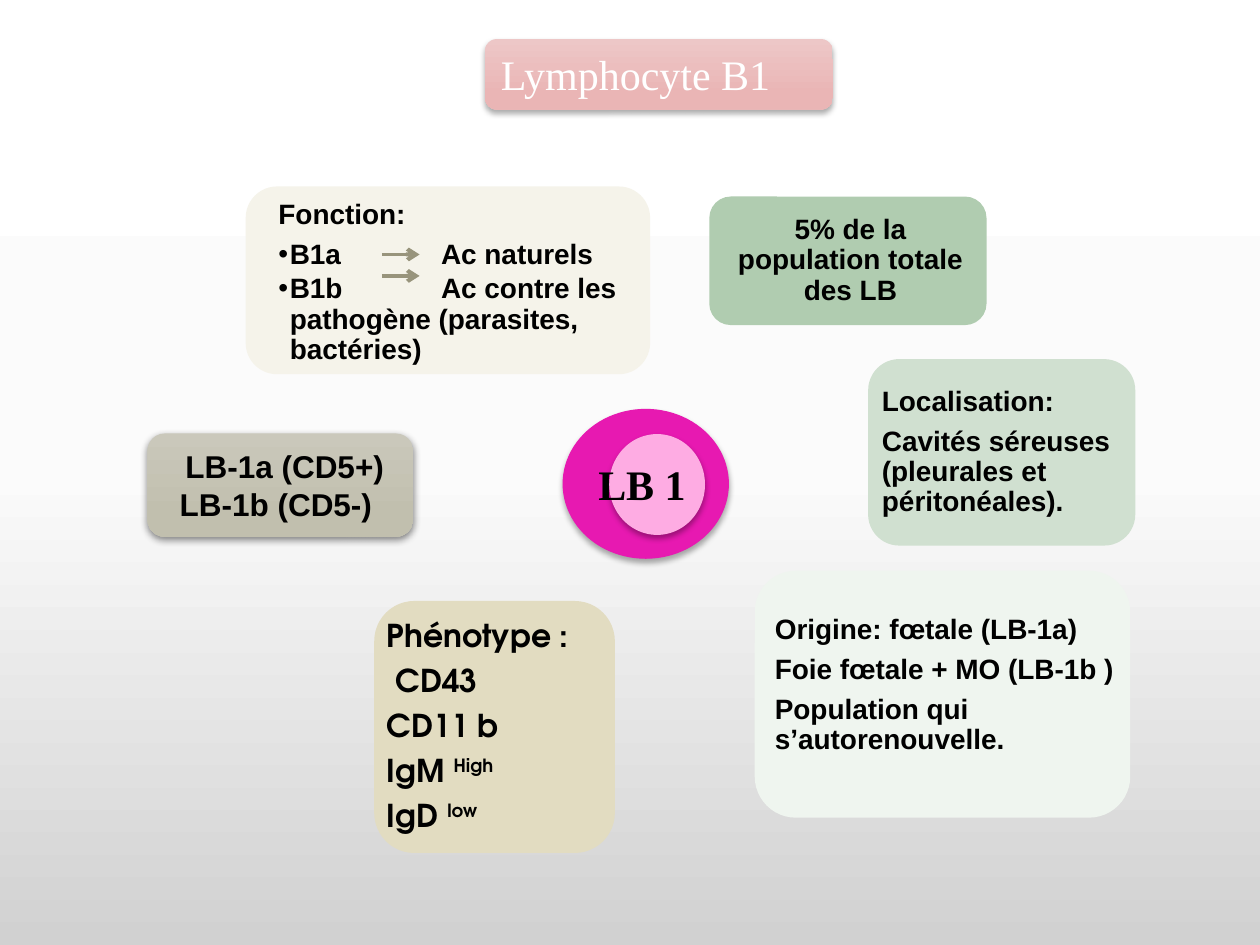
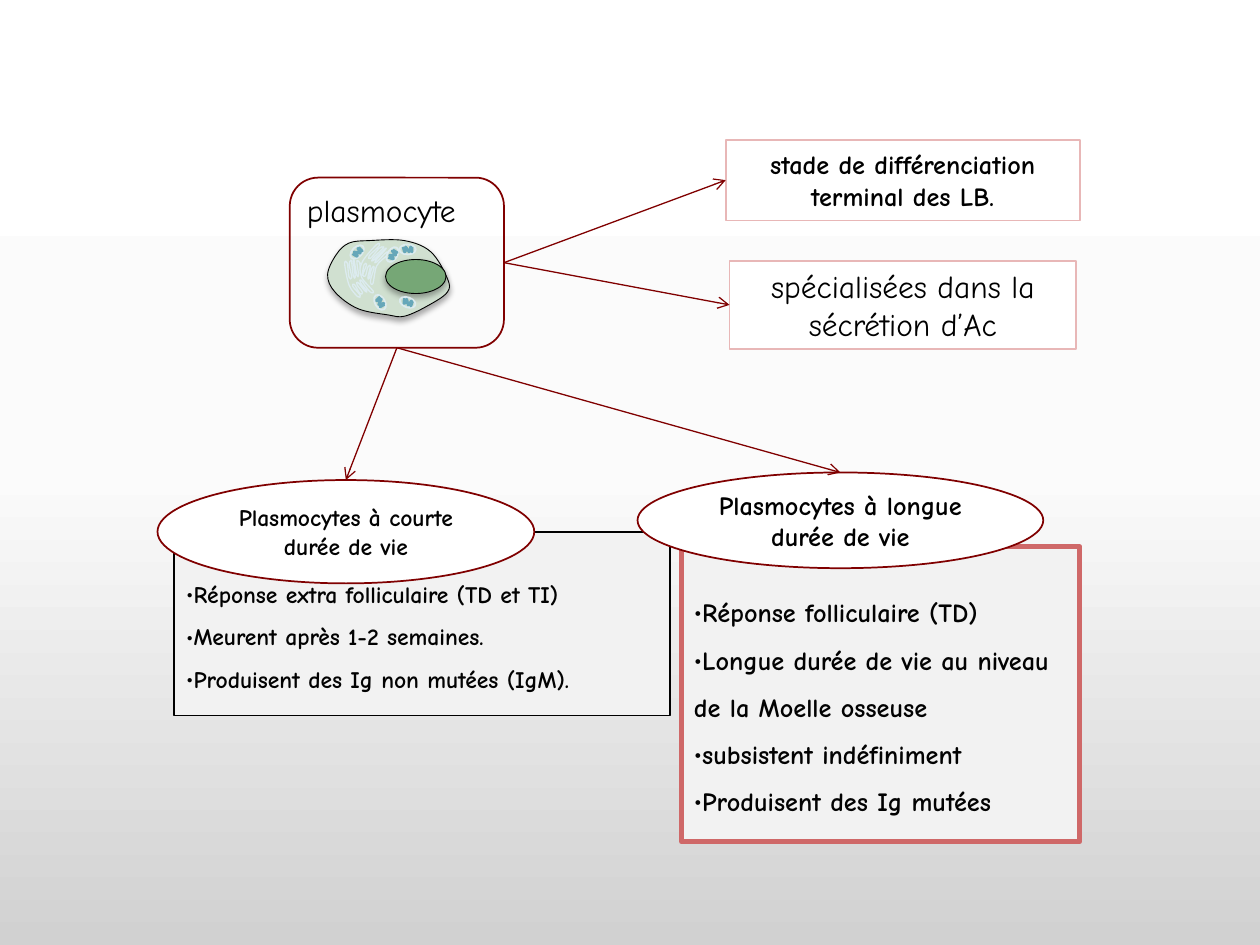
from dataclasses import dataclass
from math import cos, radians, sin
from typing import NamedTuple, Optional

from lxml.etree import SubElement
from pptx import Presentation
from pptx.dml.color import RGBColor
from pptx.enum.shapes import MSO_CONNECTOR, MSO_SHAPE
from pptx.enum.text import MSO_ANCHOR, PP_ALIGN
from pptx.oxml.ns import qn
from pptx.util import Inches, Pt

ROUND, OVAL, RECT = MSO_SHAPE.ROUNDED_RECTANGLE, MSO_SHAPE.OVAL, MSO_SHAPE.RECTANGLE
TOP, MIDDLE = MSO_ANCHOR.TOP, MSO_ANCHOR.MIDDLE
LEFT, CENTER = PP_ALIGN.LEFT, PP_ALIGN.CENTER


@dataclass(frozen=True)
class Theme:
    back: tuple = ((0, "FFFFFF"), (50, "FBFBFB"), (100, "D1D1D1"))
    title: tuple = ((0, "EDC7C7"), (78, "EAB5B5"))
    stone: tuple = ((0, "CAC8BB"), (78, "C1BFAE"))
    black: str = "000000"
    ink: str = "020202"
    white: str = "FFFFFF"
    panel: str = "F2F2F2"
    maroon: str = "800000"
    rose: str = "E8B7B7"
    red: str = "CF6868"
    taupe: str = "98947C"
    sage: str = "B0CCB0"
    mist: str = "EFF5EF"
    sand: str = "E2DCC1"
    cream: str = "F5F3EA"
    mint: str = "D0E0D0"
    green: str = "76A776"
    ice: str = "DCEBEF"
    teal: str = "66A7B9"
    pink: str = "E719B1"
    blush: str = "FEACE3"
    arial: str = "Arial"
    comic: str = "Comic Neue"
    gothic: str = "TeX Gyre Adventor"
    times: str = "Times New Roman"
    small: float = 13.5
    note: float = 15
    body: float = 16
    large: float = 18
    head: float = 24


T = Theme()


class Box(NamedTuple):
    x: float
    y: float
    w: float
    h: float


class Para(NamedTuple):
    text: str
    sup: str = ""
    hang: Optional[float] = None  # a number makes the paragraph a bullet
    after: float = 0  # share of the type size


class Style(NamedTuple):
    font: str
    size: float
    color: str = T.black
    bold: bool = True
    align: PP_ALIGN = LEFT
    anchor: MSO_ANCHOR = MIDDLE
    lead: Optional[float] = None
    inset: tuple = (0.1, 0.05, 0.1, 0.05)
    wrap: bool = True


class Shade(NamedTuple):
    alpha: int
    blur: float
    dist: float


class Card(NamedTuple):
    box: Box
    fill: str
    area: Box
    style: Style
    paras: list


SOFT, DEEP = Shade(32, 3.5, 2.2), Shade(48, 4.5, 1.5)


def emu(box: Box) -> list:
    return [Inches(v) for v in box]


def blend(fill, node, stops: tuple) -> None:
    """Vertical gradient with any number of stops."""
    fill.gradient()
    grad = next(node.iter(qn("a:gradFill")))
    for child in list(grad):
        grad.remove(child)
    group = SubElement(grad, qn("a:gsLst"))
    for pos, color in stops:
        stop = SubElement(group, qn("a:gs"), pos=str(pos * 1000))
        SubElement(stop, qn("a:srgbClr"), val=color)
    SubElement(grad, qn("a:lin"), ang="5400000", scaled="0")


def paint(shape, fill=None, line: Optional[tuple] = None, shade: Optional[Shade] = None) -> None:
    if fill is None:
        shape.fill.background()
    elif isinstance(fill, tuple):
        blend(shape.fill, shape.element, fill)
    else:
        shape.fill.solid()
        shape.fill.fore_color.rgb = RGBColor.from_string(fill)
    if line:
        shape.line.color.rgb = RGBColor.from_string(line[0])
        shape.line.width = Pt(line[1])
    else:
        shape.line.fill.background()
    shape.shadow.inherit = False
    if shade:
        effects = shape.element.spPr.find(qn("a:effectLst"))
        outer = SubElement(effects, qn("a:outerShdw"), blurRad=str(Pt(shade.blur)),
                           dist=str(Pt(shade.dist)), dir="5400000", rotWithShape="0")
        color = SubElement(outer, qn("a:srgbClr"), val=T.black)
        SubElement(color, qn("a:alpha"), val=str(shade.alpha * 1000))


def write(shape, paras: list, style: Style) -> None:
    frame = shape.text_frame
    frame.word_wrap, frame.vertical_anchor = style.wrap, style.anchor
    (frame.margin_left, frame.margin_top,
     frame.margin_right, frame.margin_bottom) = [Inches(v) for v in style.inset]
    for i, item in enumerate(paras):
        para = frame.add_paragraph() if i else frame.paragraphs[0]
        para.text = item.text
        props = para._p.get_or_add_pPr()
        if item.hang is not None:
            props.set("marL", str(Inches(item.hang)))
            props.set("indent", str(-Inches(item.hang)))
            SubElement(props, qn("a:buFont"), typeface=style.font)
            SubElement(props, qn("a:buChar"), char="•")
        if "\t" in item.text:
            tabs = SubElement(props, qn("a:tabLst"))
            SubElement(tabs, qn("a:tab"), pos=str(Inches(1.29)), algn="l")
        para.alignment = style.align
        if item.after:
            para.space_after = Pt(item.after * style.size)
        if style.lead:
            para.line_spacing = style.lead
        if item.sup:
            run = para.add_run()
            run.text = item.sup
            run._r.get_or_add_rPr().set("baseline", "30000")
        for run in para.runs:
            run.font.name, run.font.size, run.font.bold = style.font, Pt(style.size), style.bold
            run.font.color.rgb = RGBColor.from_string(style.color)


def block(slide, kind, box: Box, fill=None, line=None, shade=None, paras=None, style=None):
    shape = slide.shapes.add_shape(kind, *emu(box))
    paint(shape, fill, line, shade)
    if paras:
        write(shape, paras, style)
    return shape


def label(slide, box: Box, paras: list, style: Style) -> None:
    write(slide.shapes.add_textbox(*emu(box)), paras, style)


def arrow(slide, color: str, width: float, ends=(0, 0, 0, 0)):
    link = slide.shapes.add_connector(MSO_CONNECTOR.STRAIGHT, *[Inches(v) for v in ends])
    link.line.color.rgb = RGBColor.from_string(color)
    link.line.width = Pt(width)
    SubElement(link.line._get_or_add_ln(), qn("a:tailEnd"), type="arrow")
    SubElement(link.element.spPr, qn("a:effectLst"))
    return link


def join(slide, start, site: int, end, goal: int) -> None:
    link = arrow(slide, T.maroon, 0.75)
    link.begin_connect(start, site)
    link.end_connect(end, goal)


def soften(shape, closed: bool) -> None:
    """Turn the straight segments of a freeform into smooth curves."""
    nodes = list(shape.element.iter(qn("a:pt")))
    spots = [(int(n.get("x")), int(n.get("y"))) for n in nodes]
    ring = [spots[-2 if closed else 0], *spots, spots[1 if closed else -1]]
    for node, a, b, c, d in zip(nodes[1:], ring, ring[1:], ring[2:], ring[3:]):
        segment = node.getparent()
        segment.tag = qn("a:cubicBezTo")
        segment.remove(node)
        first = [q + (r - p) / 6 for p, q, r in zip(a, b, c)]
        second = [r - (s - q) / 6 for q, r, s in zip(b, c, d)]
        for x, y in (first, second, c):
            SubElement(segment, qn("a:pt"), x=str(round(x)), y=str(round(y)))


def curve(slide, knots: list, line: tuple, center=(0, 0), turn: float = 0,
          closed: bool = False, shade=None) -> None:
    """Knots are hundredths of an inch around the center."""
    co, si = cos(radians(turn)), sin(radians(turn))
    spots = [(Inches(center[0] + (x * co - y * si) / 100),
              Inches(center[1] + (x * si + y * co) / 100)) for x, y in knots]
    pen = slide.shapes.build_freeform(*spots[0])
    pen.add_line_segments(spots[1:] + spots[:1] * closed, close=closed)
    shape = pen.convert_to_shape()
    soften(shape, closed)
    paint(shape, T.mint, line, shade)


# Lymphocyte slide
CARD = Style(T.arial, T.body, lead=0.9, inset=(0.04,) * 4)
GAP, NEAR = 0.35, 0.15


def rows(*texts: str) -> list:
    return [Para(text, after=GAP) for text in texts]


CARDS = [
    Card(Box(5.63, 1.56, 2.2, 1.02), T.sage, Box(5.67, 1.61, 2.16, 0.92),
         CARD._replace(align=CENTER), rows("5% de la population totale des LB")),
    Card(Box(5.99, 4.53, 2.98, 1.96), T.mist, Box(6.11, 4.6, 3.06, 1.68), CARD,
         rows("Origine: fœtale (LB-1a)", "Foie fœtale + MO (LB-1b )",
              "Population qui s’autorenouvelle.")),
    Card(Box(6.89, 2.85, 2.12, 1.48), T.mint, Box(6.96, 2.92, 2, 1.34), CARD,
         rows("Localisation:", "Cavités séreuses (pleurales et péritonéales).")),
    Card(Box(2.97, 4.77, 1.91, 2), T.sand, Box(3.03, 4.87, 1.81, 1.8),
         CARD._replace(font=T.gothic, size=T.large),
         rows("Phénotype :", " CD43", "CD11 b")
         + [Para("IgM ", "High", after=GAP), Para("IgD ", "low", after=GAP)]),
    Card(Box(1.95, 1.48, 3.21, 1.49), T.cream, Box(2.17, 1.55, 3.12, 1.29),
         CARD._replace(anchor=TOP),
         rows("Fonction:")
         + [Para("B1a\tAc naturels", hang=0.09, after=NEAR),
            Para("B1b\tAc contre les pathogène (parasites, bactéries)", hang=0.09, after=NEAR)]),
]


def draw_lymph(slide) -> None:
    for card in CARDS:
        block(slide, ROUND, card.box, card.fill)
        label(slide, card.area, card.paras, card.style)
    for y in (2.02, 2.19):
        arrow(slide, T.taupe, 2.25, (3.03, y, 3.33, y))
    block(slide, ROUND, Box(1.17, 3.44, 2.11, 0.82), T.stone, shade=DEEP,
          paras=[Para(" LB-1a (CD5+)"), Para("LB-1b (CD5-) ")],
          style=Style(T.arial, T.large, align=CENTER))
    head = Style(T.times, T.head, T.white, False, anchor=TOP)
    block(slide, ROUND, Box(3.85, 0.31, 2.76, 0.56), T.title, shade=SOFT,
          paras=[Para("Lymphocyte B1")], style=head)
    # Cell in the middle
    for box, color in ((Box(4.47, 3.25, 1.31, 1.18), T.pink),
                       (Box(4.84, 3.45, 0.75, 0.79), T.blush)):
        block(slide, OVAL, box, color, (color, 0.75), SOFT)
    label(slide, Box(4.65, 3.59, 0.9, 0.5), [Para("LB 1")],
          head._replace(color=T.black, bold=True, wrap=False))


# Plasma cell slide
SHELL = [(267, 202), (277, 193), (293, 191), (321, 191), (342, 200), (355, 221), (355, 232),
         (339, 243), (321, 251), (308, 250), (284, 245), (266, 232), (260, 218)]
FOLDS = [(10, -7), (2, 1), (-1, 15), (-3, 13), (0, 2), (-2, 3), (-4, 11), (-5, 10),
         (-3, 1), (-5, 2), (-7, 9), (-9, 8), (-6, 0), (-8, 0), (-10, 9), (-12, 8),
         (-9, -3), (2, -16), (4, -15), (-4, -7), (-3, -5), (4, -13), (7, -14), (7, -13),
         (-1, -5), (-1, -3), (8, -12), (9, -12), (1, -3), (2, -2), (10, -10), (10, -6)]
COIL = [(-4, -2), (-3, 2), (-2, 1), (-2, -2), (0, 1), (1, 2), (2, -2), (3, 2), (3, -1), (3, -2)]
GRAINS = [(3.24, 1.98, 0), (3.12, 2.02, 301.7), (3.02, 2.4, 60), (3.24, 2.4, 20.8), (2.84, 2, 315)]


def draw_cell(slide) -> None:
    curve(slide, SHELL, (T.black, 0.5), closed=True, shade=SOFT)
    block(slide, OVAL, Box(3.06, 2.06, 0.48, 0.27), T.green, (T.black, 0.5), SOFT)
    for center, turn in (((2.97, 2.1), 0), ((2.85, 2.21), -52)):
        curve(slide, FOLDS, (T.ice, 0.75), center, turn)
    for x, y, turn in GRAINS:
        grain = block(slide, OVAL, Box(x - 0.07, y - 0.04, 0.13, 0.08), T.mint, (T.ice, 1))
        grain.rotation = turn
        curve(slide, COIL, (T.teal, 1.5), (x, y), turn)


def draw_plasma(slide) -> None:
    mid = Style(T.comic, T.note, align=CENTER)
    plain = mid._replace(size=T.large, bold=False)
    traits = [block(slide, RECT, box, T.white, (T.rose, 1), paras=[Para(text)], style=style)
              for box, text, style in (
                  (Box(5.79, 2.07, 2.75, 0.7), "spécialisées dans la sécrétion d’Ac", plain),
                  (Box(5.76, 1.11, 2.81, 0.64), "stade de différenciation terminal des LB.", mid))]
    draw_cell(slide)
    plasma = block(slide, ROUND, Box(2.3, 1.41, 1.7, 1.35), line=(T.maroon, 1),
                   paras=[Para("plasmocyte")],
                   style=plain._replace(align=LEFT, anchor=TOP, inset=(0.07, 0.04, 0.07, 0.04)))
    # Panels of facts, below their ovals
    facts = Style(T.comic, T.small, T.ink, anchor=TOP, lead=1.5, inset=(0.1, 0.27, 0.1, 0.05))
    for box, line, size, texts in (
            (Box(1.38, 4.22, 3.94, 1.46), (T.black, 1), T.small,
             ("Réponse extra folliculaire (TD et TI)", "Meurent après 1-2 semaines.",
              "Produisent des Ig non mutées (IgM).")),
            (Box(5.41, 4.34, 3.16, 2.34), (T.red, 3), T.note,
             ("Réponse folliculaire (TD)", "Longue durée de vie au niveau de la Moelle osseuse",
              "subsistent indéfiniment", "Produisent des Ig mutées"))):
        block(slide, RECT, box, T.panel, line, paras=[Para(text, hang=0) for text in texts],
              style=facts._replace(size=size))
    kinds = [block(slide, OVAL, box, T.white, (T.maroon, 1), paras=[Para(text)],
                   style=mid._replace(size=size, color=color))
             for box, text, size, color in (
                 (Box(1.25, 3.81, 2.99, 0.82), "Plasmocytes à courte durée de vie", T.small, T.ink),
                 (Box(5.06, 3.75, 3.22, 0.76), "Plasmocytes à longue durée de vie", T.note, T.black))]
    for trait in traits:
        join(slide, plasma, 3, trait, 1)
    for kind in kinds:
        join(slide, plasma, 2, kind, 0)


def main() -> None:
    deck = Presentation()
    deck.slide_width, deck.slide_height = Inches(10), Inches(7.5)
    master = deck.slide_master
    blend(master.background.fill, master.element, T.back)
    for draw in (draw_lymph, draw_plasma):
        draw(deck.slides.add_slide(deck.slide_layouts[6]))
    deck.save("out.pptx")


if __name__ == "__main__":
    main()
